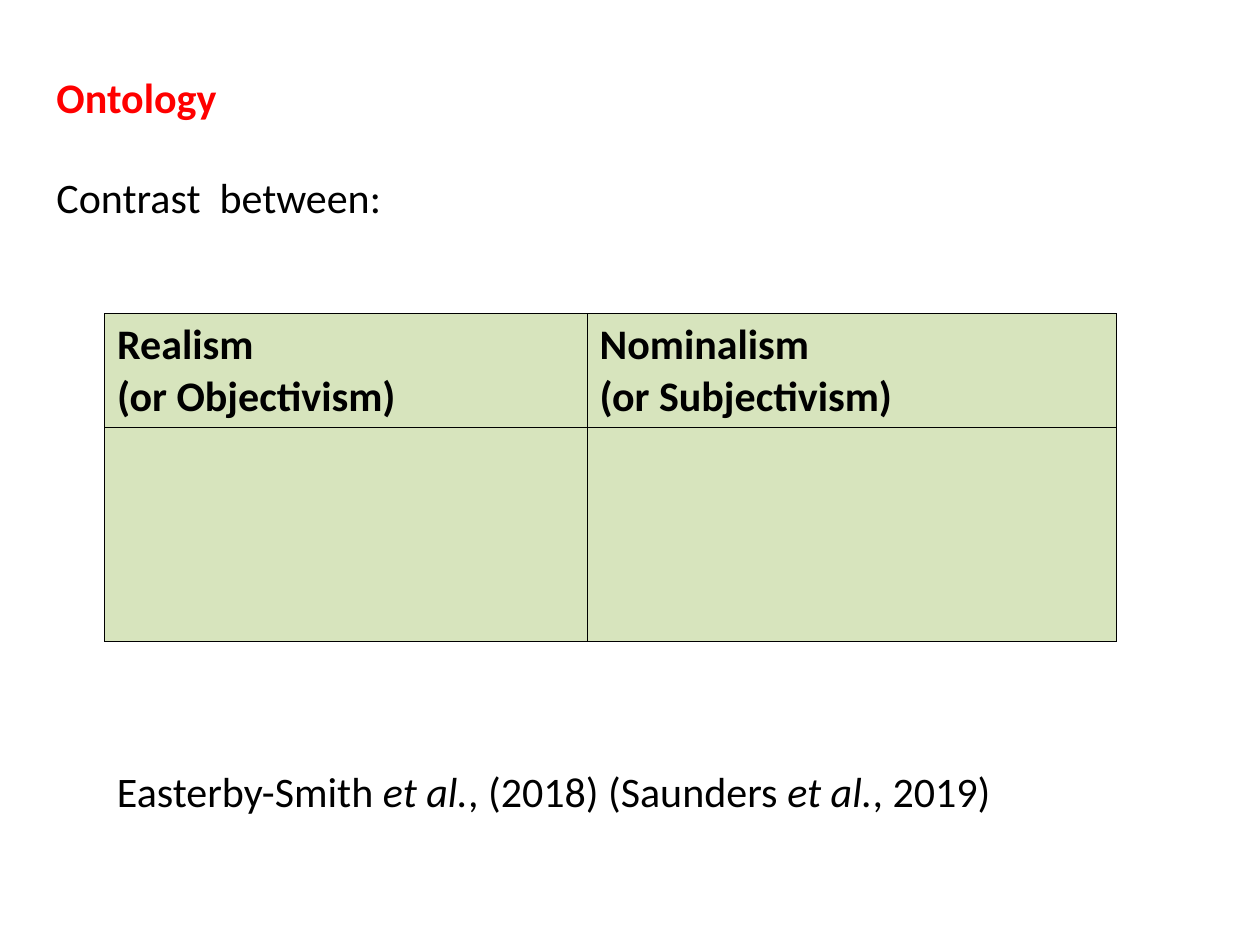
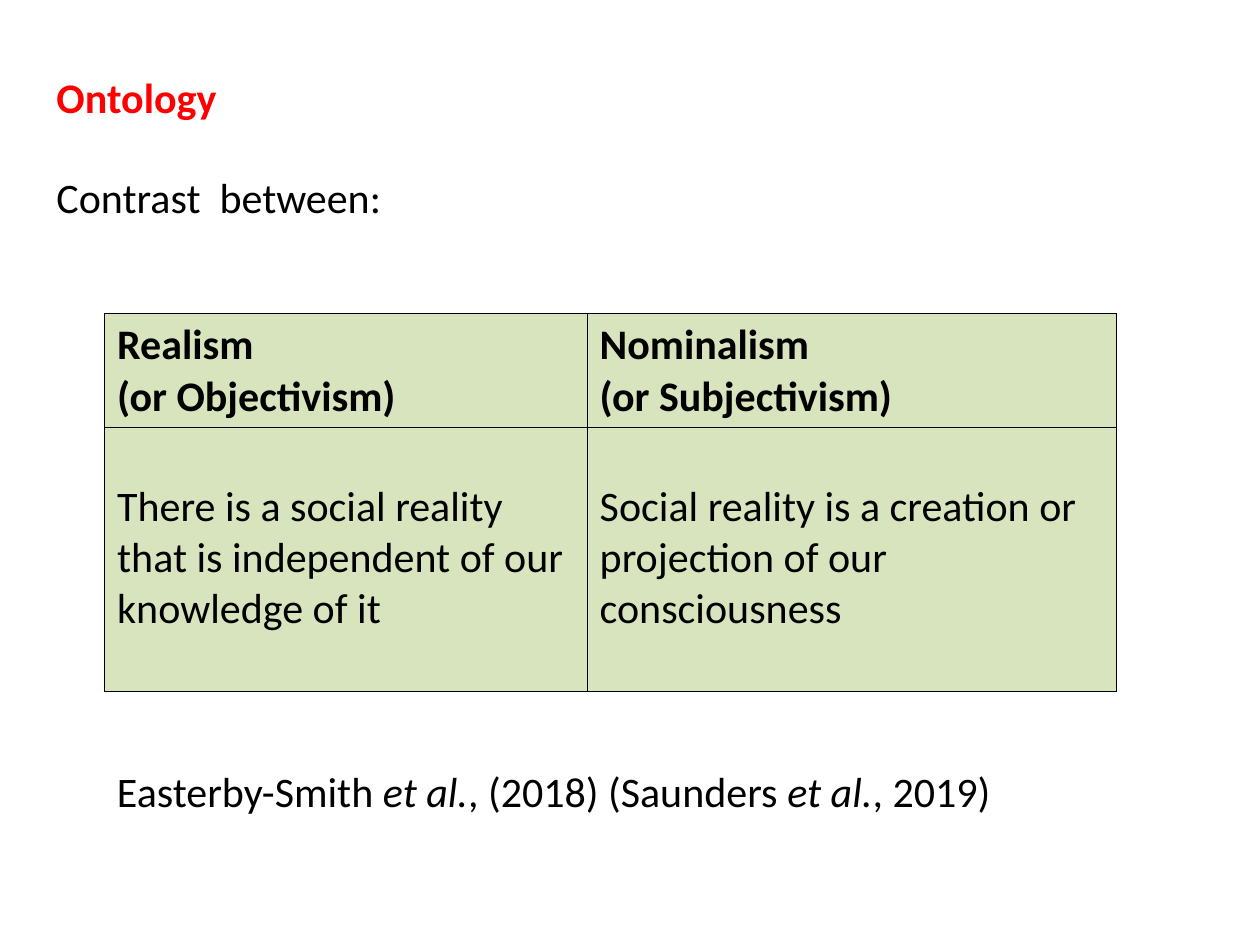
from lxml.etree import SubElement
from pptx import Presentation
from pptx.dml.color import RGBColor
from pptx.oxml.ns import qn
from pptx.util import Inches, Pt

HUES = {"red": "FF0000", "ink": "000000", "leaf": "D7E4BD"}
BASE = {"name": "Calibri", "size": Pt(24), "bold": False, "italic": False}
HEADS = [["Realism", "(or Objectivism)"], ["Nominalism", "(or Subjectivism)"]]
VIEWS = [
    "There is a social reality that is independent of our knowledge of it",
    "Social reality is a creation or projection of our consciousness",
]
CITE = ["Easterby-Smith ", "et al.", ", (2018) (Saunders ", "et al.", ", 2019)"]


class Deck:
    """Hold the shared style and the current slide."""

    def __init__(self):
        self.show = Presentation()
        self.show.slide_width, self.show.slide_height = Inches(10), Inches(7.5)

    def page(self):
        self.slide = self.show.slides.add_slide(self.show.slide_layouts[6])

    def run(self, para, text, hue="ink", **style):
        run = para.add_run()
        run.text = text
        for key, value in {**BASE, **style}.items():
            setattr(run.font, key, value)
        run.font.color.rgb = RGBColor.from_string(HUES[hue])

    def box(self, left, top, width, height):
        spot = [Inches(n) for n in (left, top, width, height)]
        frame = self.slide.shapes.add_textbox(*spot).text_frame
        frame.word_wrap = True
        return frame

    def title(self, text, lead):
        frame = self.box(0.35, 0.52, 9.13, 2.9)
        self.run(frame.paragraphs[0], text, "red", bold=True)
        para = frame.add_paragraph()
        para.space_before = Pt(28)
        self.run(para, lead)

    def cite(self, parts, height):
        para = self.box(0.83, 6.03, 8.35, height).paragraphs[0]
        for num, part in enumerate(parts):
            self.run(para, part, italic=num % 2 == 1)

    def cell(self, cell, lines, bold):
        props = cell._tc.get_or_add_tcPr()
        for side in "LRTB":
            line = SubElement(props, qn(f"a:ln{side}"), w=str(Pt(0.45)))
            fill = SubElement(line, qn("a:solidFill"))
            SubElement(fill, qn("a:srgbClr"), val=HUES["ink"])
        cell.fill.solid()
        cell.fill.fore_color.rgb = RGBColor.from_string(HUES["leaf"])
        frame = cell.text_frame
        for num, text in enumerate(lines):
            para = frame.add_paragraph() if num else frame.paragraphs[0]
            self.run(para, text, bold=bold)

    def table(self, heads, views, depth):
        wide, high = (3.83, 4.2), (0.9, depth)
        spot = [Inches(n) for n in (0.83, 2.49, sum(wide), sum(high))]
        grid = self.slide.shapes.add_table(2, 2, *spot).table
        grid.first_row = grid.horz_banding = False
        for num in range(2):
            grid.columns[num].width = Inches(wide[num])
            grid.rows[num].height = Inches(high[num])
            self.cell(grid.cell(0, num), heads[num], True)
            self.cell(grid.cell(1, num), views[num:num + 1], False)
            grid.cell(1, num).margin_top = Inches(0.43)


def main():
    deck = Deck()
    for views, depth, foot in (([], 1.7, 0.5), (VIEWS, 2.1, 0.9)):
        deck.page()
        deck.title("Ontology", "Contrast  between:")
        deck.table(HEADS, views, depth)
        deck.cite(CITE, foot)
    deck.show.save("out.pptx")


if __name__ == "__main__":
    main()
